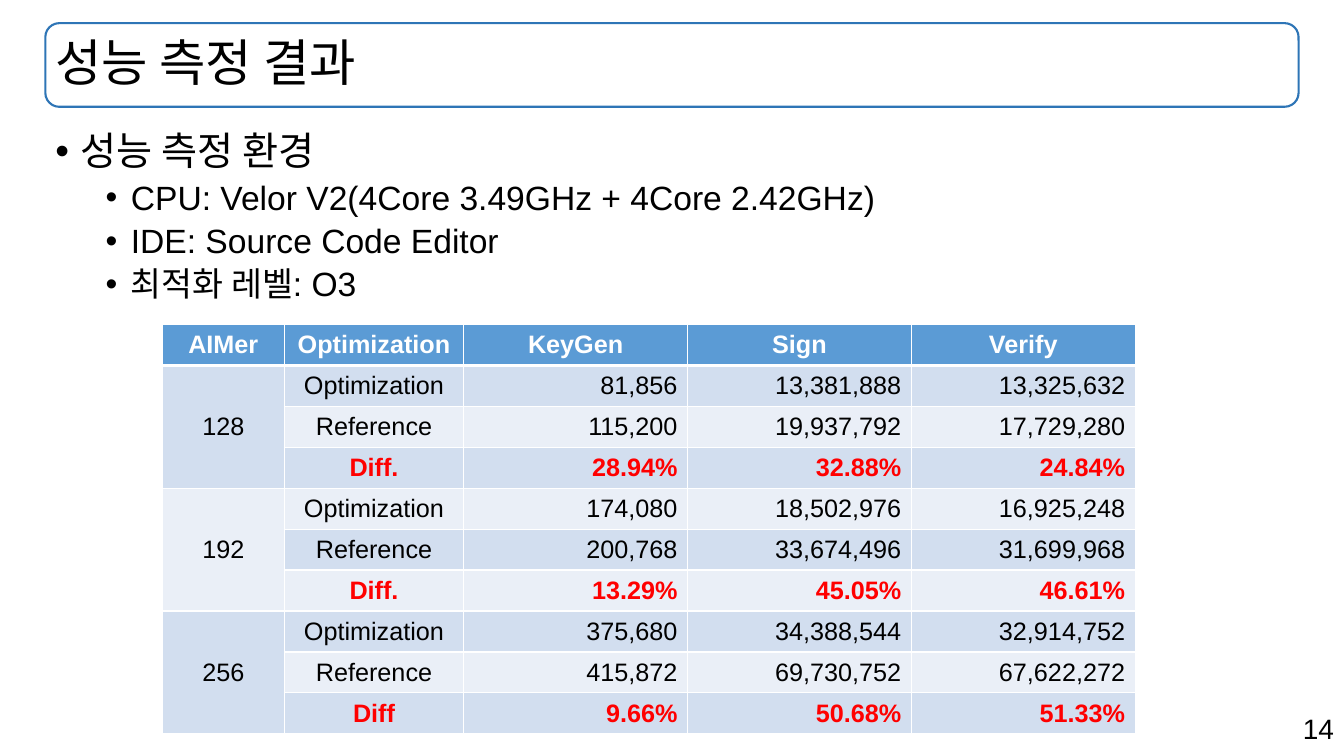
from lxml import etree
from pptx import Presentation
from pptx.dml.color import RGBColor
from pptx.enum.shapes import MSO_SHAPE
from pptx.enum.text import MSO_ANCHOR, PP_ALIGN
from pptx.oxml.ns import qn
from pptx.util import Inches, Pt

LEFT, MID, RIGHT = PP_ALIGN.LEFT, PP_ALIGN.CENTER, PP_ALIGN.RIGHT
TOP, CENTER = MSO_ANCHOR.TOP, MSO_ANCHOR.MIDDLE
ROUND = MSO_SHAPE.ROUNDED_RECTANGLE

COLORS = {
    "black": "000000", "white": "FFFFFF", "red": "FF0000", "frame": "2E75B6",
    "head": "5B9BD5", "dark": "D2DEEF", "light": "EAEFF7",
}


def rgb(name):
    return RGBColor.from_string(COLORS[name])


def write(frame, text, size=18, color="black", bold=False, align=LEFT,
          anchor=TOP, spacing=None, before=0, indent=None):
    """Fill the empty first paragraph, or add one below the others."""
    par = frame.paragraphs[0]
    if par.runs:
        par = frame.add_paragraph()
        par.space_before = Pt(before)
    frame.word_wrap = True
    frame.vertical_anchor = anchor
    par.alignment = align
    if spacing:
        par.line_spacing = spacing
    if indent:
        props = par._p.get_or_add_pPr()
        props.set("marL", str(Inches(indent)))
        props.set("indent", str(Inches(-0.25)))
        etree.SubElement(props, qn("a:buFont")).set("typeface", "Arial")
        etree.SubElement(props, qn("a:buChar")).set("char", "•")
    run = par.add_run()
    run.text = text
    run.font.name = "Arial"
    run.font.size = Pt(size)
    run.font.bold = bold
    run.font.color.rgb = rgb(color)


deck = Presentation()
deck.slide_width, deck.slide_height = Inches(13.33), Inches(7.5)
slide = deck.slides.add_slide(deck.slide_layouts[6])
shapes = slide.shapes

# Page number
page = shapes.add_textbox(Inches(9.43), Inches(7.01), Inches(3.9), Inches(0.44))
write(page.text_frame, "14", size=20, align=RIGHT)

# Title in its frame
area = Inches(0.45), Inches(0.23), Inches(12.43), Inches(0.83)
frame = shapes.add_shape(ROUND, *area)
frame.shadow.inherit = False
frame.fill.background()
frame.line.color.rgb = rgb("frame")
frame.line.width = Pt(1.5)
title = shapes.add_textbox(*area)
write(title.text_frame, "성능 측정 결과", size=36, anchor=CENTER, spacing=0.9)

# Test setup
body = shapes.add_textbox(Inches(0.45), Inches(1.26), Inches(12.43), Inches(6.13))
write(body.text_frame, "성능 측정 환경", size=28, spacing=0.9, indent=0.25)
for item in ("CPU: Velor V2(4Core 3.49GHz + 4Core 2.42GHz)",
             "IDE: Source Code Editor",
             "최적화 레벨: O3"):
    write(body.text_frame, item, size=24, spacing=0.9, before=5, indent=0.75)

# Result table
ROWS = [
    ("AIMer", "Optimization", "KeyGen", "Sign", "Verify"),
    ("128", "Optimization", "81,856", "13,381,888", "13,325,632"),
    ("", "Reference", "115,200", "19,937,792", "17,729,280"),
    ("", "Diff.", "28.94%", "32.88%", "24.84%"),
    ("192", "Optimization", "174,080", "18,502,976", "16,925,248"),
    ("", "Reference", "200,768", "33,674,496", "31,699,968"),
    ("", "Diff.", "13.29%", "45.05%", "46.61%"),
    ("256", "Optimization", "375,680", "34,388,544", "32,914,752"),
    ("", "Reference", "415,872", "69,730,752", "67,622,272"),
    ("", "Diff", "9.66%", "50.68%", "51.33%"),
]
WIDTHS = (1.21, 1.78, 2.22, 2.22, 2.22)
table = shapes.add_table(len(ROWS), len(WIDTHS), Inches(1.61), Inches(3.22),
                         Inches(sum(WIDTHS)), Inches(4.06)).table
table.horz_banding = False
for col, width in zip(table.columns, WIDTHS):
    col.width = Inches(width)

for r, row in enumerate(ROWS):
    head, diff = r == 0, row[1].startswith("Diff")
    fill = "head" if head else "dark" if r % 2 else "light"
    color = "white" if head else "red" if diff else "black"
    for c, text in enumerate(row):
        cell = table.cell(r, c)
        # White borders, thicker below the header
        props = cell._tc.get_or_add_tcPr()
        for side in ("L", "R", "T", "B"):
            thick = (r, side) in ((0, "B"), (1, "T"))
            line = etree.SubElement(props, qn("a:ln" + side), w=str(Pt(3 if thick else 1)))
            paint = etree.SubElement(line, qn("a:solidFill"))
            etree.SubElement(paint, qn("a:srgbClr"), val=COLORS["white"])
        cell.fill.solid()
        cell.fill.fore_color.rgb = rgb(fill)
        cell.vertical_anchor = CENTER
        if text:
            write(cell.text_frame, text, color=color, bold=head or diff,
                  align=MID if head or c < 2 else RIGHT)

# One key size spans three rows
for r in range(1, len(ROWS), 3):
    table.cell(r, 0).merge(table.cell(r + 2, 0))

deck.save("out.pptx")
